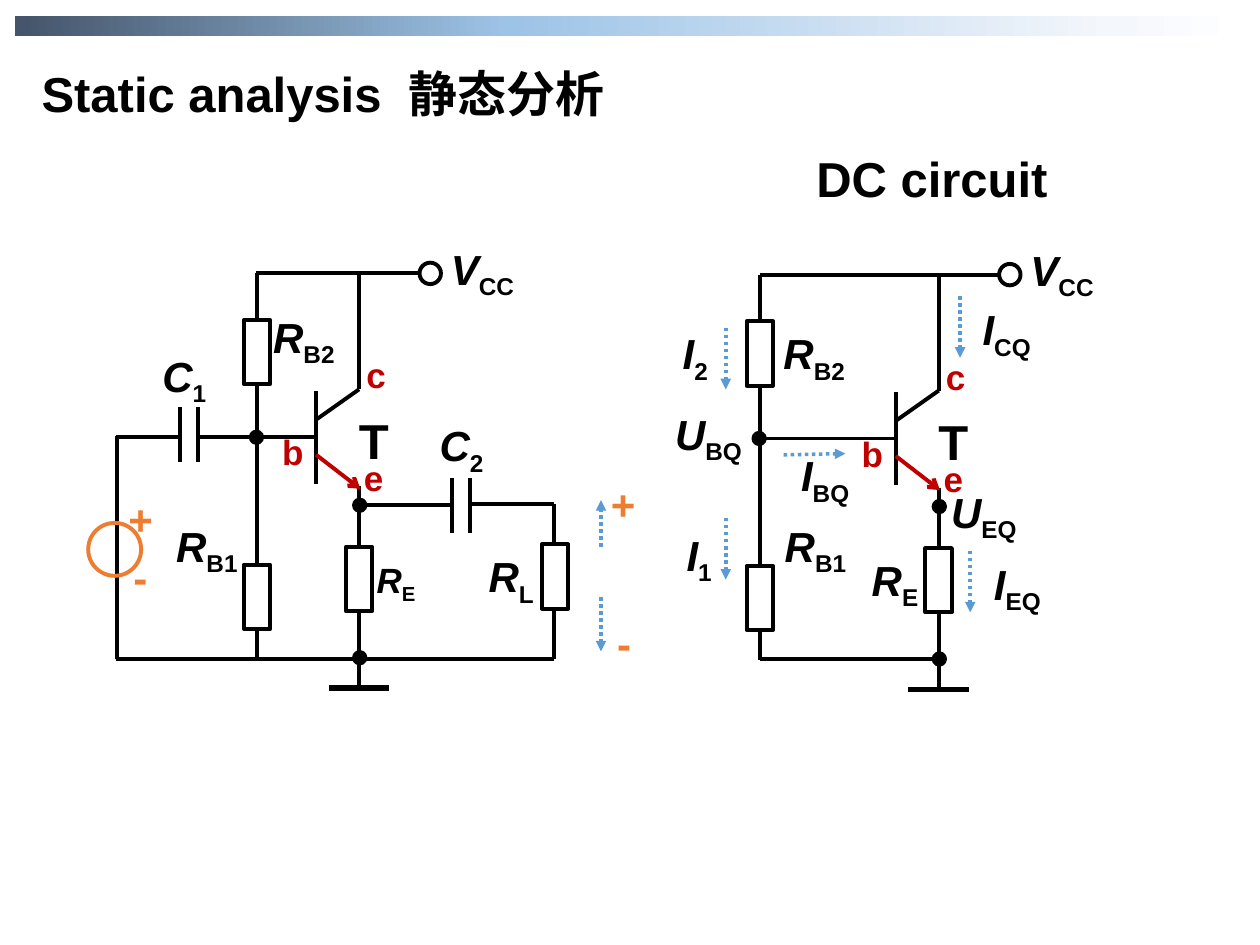
from pptx import Presentation
from pptx.dml.color import RGBColor
from pptx.enum.dml import MSO_LINE
from pptx.enum.shapes import MSO_CONNECTOR, MSO_SHAPE
from pptx.enum.text import MSO_ANCHOR, MSO_AUTO_SIZE, PP_ALIGN
from pptx.oxml.ns import qn
from pptx.util import Inches, Pt
from lxml.etree import SubElement
from copy import deepcopy

COLUMNS, ROWS = 100, 75
BLACK, WHITE, RED, ORANGE, BLUE = "000000", "FFFFFF", "C00000", "ED7D31", "5B9BD5"


def color(value):
    return RGBColor.from_string(value)


def apply(target, values):
    for name, value in values.items():
        setattr(target, name, value)


class Schematic:
    font = "Arial"
    wire_width = 2.25

    def __init__(self, deck):
        self.column = deck.slide_width / COLUMNS
        self.row = deck.slide_height / ROWS
        self.page = deck.slides.add_slide(deck.slide_layouts[5])

    def place(self, left, top, width, height):
        return [round(left * self.column), round(top * self.row),
                round(width * self.column), round(height * self.row)]

    def span(self, para, text, size, ink=BLACK, italic=False, font=None):
        span = para.add_run()
        span.text = text
        apply(span.font, {"name": font or self.font, "size": Pt(size),
                          "bold": True, "italic": italic})
        span.font.color.rgb = color(ink)
        return span

    def frame(self, box, align):
        apply(box.text_frame, {"word_wrap": True, "vertical_anchor": MSO_ANCHOR.TOP,
                               "auto_size": MSO_AUTO_SIZE.SHAPE_TO_FIT_TEXT})
        para = box.text_frame.paragraphs[0]
        para.alignment = align
        return para

    def title(self, area, latin, chinese, size=28):
        box = self.page.shapes.title
        apply(box, dict(zip(("left", "top", "width", "height"), self.place(*area))))
        para = self.frame(box, PP_ALIGN.JUSTIFY)
        self.span(para, latin, size)
        gap = self.span(para, " ", size)
        gap._r.get_or_add_rPr().set("spc", "780")
        font = "Noto Sans CJK SC"
        han = self.span(para, chinese, size, font=font)
        SubElement(han._r.get_or_add_rPr(), qn("a:ea")).set("typeface", font)

    def label(self, area, text, size=24, ink=BLACK, sub="", align=PP_ALIGN.LEFT):
        box = self.page.shapes.add_textbox(*self.place(*area))
        para = self.frame(box, align)
        self.span(para, text, size, ink, italic=bool(sub))
        if sub:
            lower = self.span(para, sub, size, ink)
            lower._r.get_or_add_rPr().set("baseline", "-25000")

    def wire(self, x1, y1, x2, y2, ink=BLACK, width=wire_width, dash=None, tip=None):
        begin, end = self.place(x1, y1, 0, 0)[:2], self.place(x2, y2, 0, 0)[:2]
        link = self.page.shapes.add_connector(MSO_CONNECTOR.STRAIGHT, *begin, *end)
        apply(link.line, {"width": Pt(width), "dash_style": dash})
        link.line.color.rgb = color(ink)
        if tip:
            SubElement(link.line._get_or_add_ln(), qn("a:tailEnd")).set("type", tip)
        SubElement(link._element.spPr, qn("a:effectLst"))

    def current(self, x1, y1, x2, y2):
        self.wire(x1, y1, x2, y2, BLUE, 2, MSO_LINE.ROUND_DOT, "triangle")

    def shape(self, kind, area, fill=None, ink=BLACK):
        shape = self.page.shapes.add_shape(kind, *self.place(*area))
        shape.shadow.inherit = False
        if fill:
            shape.fill.solid()
            shape.fill.fore_color.rgb = color(fill)
        else:
            shape.fill.background()
        shape.line.color.rgb = color(ink)
        shape.line.width = Pt(self.wire_width)
        return shape

    def resistor(self, x, y):
        self.shape(MSO_SHAPE.RECTANGLE, (x - 2.55, y - 1.05, 5.1, 2.1), WHITE).rotation = 270

    def circle(self, x, y, size, fill=None, ink=BLACK):
        self.shape(MSO_SHAPE.OVAL, (x - size / 2, y - size / 2, size, size), fill, ink)

    def band(self, area, stops):
        band = self.shape(MSO_SHAPE.RECTANGLE, area)
        band.line.fill.background()
        band.fill.gradient()
        band.fill.gradient_angle = 0
        stop_list = band._element.spPr.find(".//" + qn("a:gsLst"))
        for _ in range(len(stops) - len(stop_list)):
            stop_list.append(deepcopy(stop_list[0]))
        for stop, (position, ink) in zip(band.fill.gradient_stops, stops):
            stop.position = position
            stop.color.rgb = color(ink)

    def capacitor(self, x, y):
        for plate in (x - 0.7, x + 0.7):
            self.wire(plate, y - 2.2, plate, y + 2.2)

    def divider(self, x, y):
        self.wire(x, y + 30.6, x, y)
        for middle in (6.35, 25.75):
            self.resistor(x, y + middle - 0.1)
        self.circle(x - 0.05, y + 13, 0.9, BLACK)

    def stage(self, x, y, base_start, supply_start):
        emitter = x + 3.4
        for x1, y1, x2, y2 in [
                (x, 9.3, x, 16.7), (x, 13, base_start, 13), (x, 11.6, emitter, 9.2),
                (emitter, 9.2, emitter, 0), (emitter, 16.9, emitter, 32.9),
                (x + 8.3, 0, supply_start, 0)]:
            self.wire(x1, y + y1, x2, y + y2)
        self.wire(x, y + 14.4, x + 3.5, y + 17.1, RED, tip="arrow")
        self.wire(x + 1, y + 32.9, x + 5.8, y + 32.9, width=3)
        self.resistor(emitter, y + 24.25)
        self.circle(x + 9.05, y, 1.7, WHITE)
        for top in (18.4, 30.5):
            self.circle(emitter + 0.05, y + top, 0.9, BLACK)
        self.label((x + 9.7, y - 2.9, 7.9, 5.9), "V", sub="CC")
        self.label((x + 2.4, y + 10.4, 5.3, 5.7), "T", 28)
        for left, top, text in [(-3.7, 12, "b"), (2.8, 14, "e"), (3, 5.9, "c")]:
            self.label((x + left, y + top, 4.7, 4.4), text, 20, RED)

    def amplifier(self):
        for ends in [(44, 52.3, 9.2, 52.3), (35.9, 40.1, 28.5, 40.1),
                     (44, 40, 44, 52.3), (44, 40, 37.3, 40),
                     (9.3, 34.6, 9.3, 52.3), (14.3, 34.7, 9.2, 34.7)]:
            self.wire(*ends)
        self.capacitor(15, 34.5)
        self.capacitor(36.6, 40.1)
        self.divider(20.4, 21.7)
        self.stage(25.1, 21.7, 15.7, 20.3)
        self.resistor(44.05, 45.75)
        self.circle(9.1, 43.6, 4.2, ink=ORANGE)
        for left, top, width, sign in [(9.2, 38.7, 4.1, "+"), (9.6, 43.3, 4.1, "-"),
                                       (47.5, 37.5, 6.4, "+"), (48, 48.5, 4.1, "-")]:
            self.label((left, top, width, 5), sign, ink=ORANGE)
        self.current(47.7, 47.4, 47.7, 51.7)
        self.current(47.7, 43.4, 47.7, 39.7)
        for left, top, width, text, sub in [
                (20.7, 24.2, 7.6, "R", "B2"), (13, 40.8, 7.6, "R", "B1"),
                (37.8, 43.2, 7.9, "R", "L"), (11.9, 27.3, 6.3, "C", "1"),
                (33.9, 32.8, 6.3, "C", "2")]:
            self.label((left, top, width, 5.9), text, sub=sub)
        self.label((28.9, 43.8, 7.9, 5.2), "R", 20, sub="E")

    def direct_current(self):
        self.label((63.8, 11.3, 21.1, 5.7), "DC circuit", 28, align=PP_ALIGN.JUSTIFY)
        self.wire(74.6, 52.3, 60.3, 52.3)
        self.divider(60.3, 21.8)
        self.stage(71.1, 21.8, 60.3, 60.3)
        for x, y in [(57.6, 26), (57.6, 41.1), (76.2, 23.5), (77, 43.7)]:
            self.current(x, y, x, y + 4.9)
        self.current(62.2, 36.1, 67.1, 36)
        for left, top, width, text, sub in [
                (61.2, 25.5, 7.6, "R", "B2"), (61.3, 40.8, 7.6, "R", "B1"),
                (68.2, 43.5, 6.1, "R", "E"), (53.2, 25.5, 4.7, "I", "2"),
                (53.5, 41.5, 4.8, "I", "1"), (62.6, 35.2, 6.7, "I", "BQ"),
                (77, 23.6, 6.4, "I", "CQ"), (77.9, 43.8, 6.4, "I", "EQ"),
                (52.6, 31.9, 9, "U", "BQ"), (74.5, 38.1, 9, "U", "EQ")]:
            self.label((left, top, width, 5.9), text, sub=sub)


def main():
    deck = Presentation()
    apply(deck, {"slide_width": Inches(10), "slide_height": Inches(7.5)})
    schematic = Schematic(deck)
    schematic.band((1.2, 1.3, 97.6, 1.6),
                   [(0, "44546A"), (0.4, "9DC3E6"), (0.89, "F4F7FC"), (1, WHITE)])
    schematic.title((2.3, 4.5, 48.3, 5.7), "Static analysis", "静态分析")
    schematic.amplifier()
    schematic.direct_current()
    deck.save("out.pptx")


if __name__ == "__main__":
    main()
